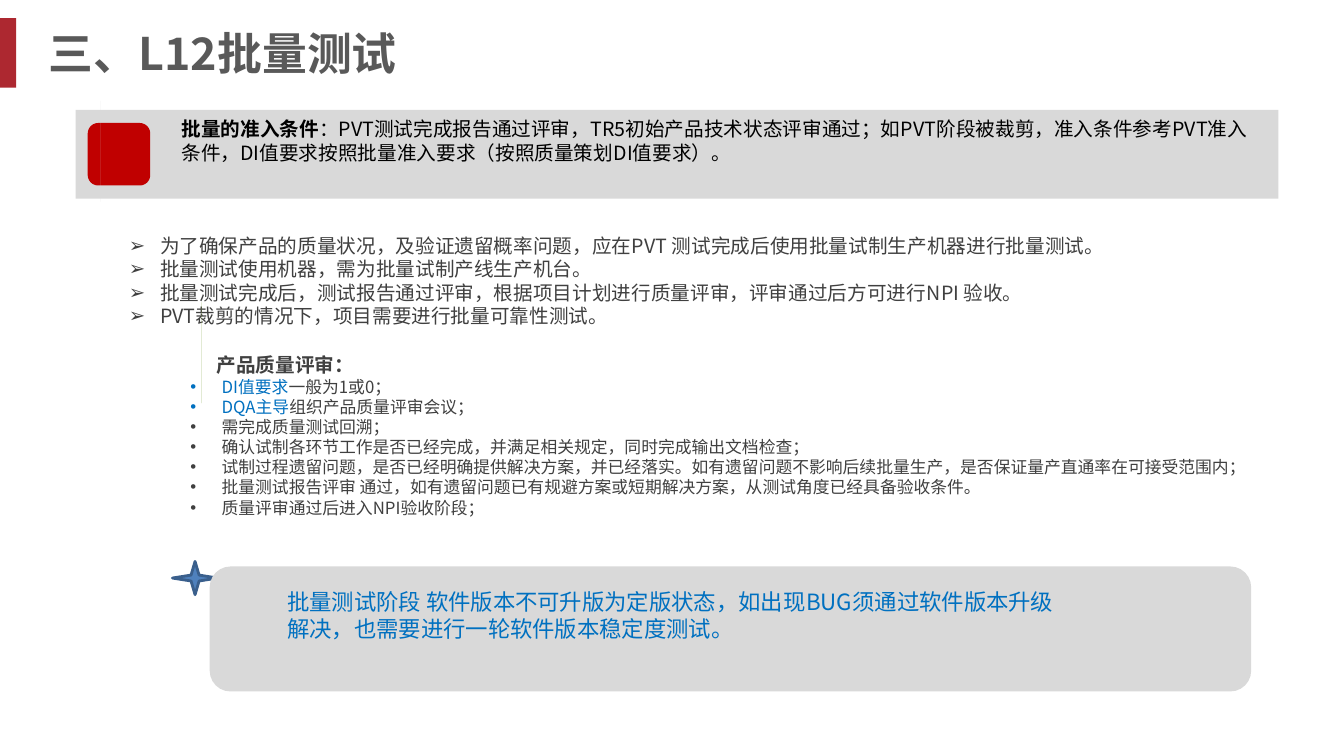
"""Build the L12 batch test slide."""
from lxml import etree
from pptx import Presentation
from pptx import util as u
from pptx.dml.color import RGBColor
from pptx.enum import shapes, text
from pptx.oxml import ns

FONT = "Noto Sans CJK SC"
RED = RGBColor(0xAD, 0x28, 0x30)
ICON_RED = RGBColor(0xC0, 0x00, 0x00)
PANEL = RGBColor(0xD9, 0xD9, 0xD9)
TITLE_GRAY = RGBColor(0x59, 0x59, 0x59)
BODY = RGBColor(0x40, 0x40, 0x40)
BLACK = RGBColor(0x00, 0x00, 0x00)
BLUE = RGBColor(0x00, 0x70, 0xC0)
STAR = RGBColor(0x4F, 0x81, 0xBD)
STAR_LINE = RGBColor(0x3A, 0x5F, 0x8C)
GREEN = RGBColor(0x9B, 0xBB, 0x59)
DARK_GREEN = RGBColor(0x77, 0x93, 0x3C)

TITLE = "三、L12批量测试"
ENTRY = [
    ("批量的准入条件", BLACK, True),
    ("：PVT测试完成报告通过评审，TR5初始产品技术状态评审通过；如PVT阶段被裁剪，准入条件参考PVT准入条件，DI值要求按照批量准入要求（按照质量策划DI值要求）。", BLACK, False),
]
GOALS = [
    "为了确保产品的质量状况，及验证遗留概率问题，应在PVT 测试完成后使用批量试制生产机器进行批量测试。",
    "批量测试使用机器，需为批量试制产线生产机台。",
    "批量测试完成后，测试报告通过评审，根据项目计划进行质量评审，评审通过后方可进行NPI 验收。",
    "PVT裁剪的情况下，项目需要进行批量可靠性测试。",
]
REVIEW_HEAD = "产品质量评审："
REVIEW = [
    ("DI值要求", "一般为1或0；"),
    ("DQA主导", "组织产品质量评审会议；"),
    ("", "需完成质量测试回溯；"),
    ("", "确认试制各环节工作是否已经完成，并满足相关规定，同时完成输出文档检查；"),
    ("", "试制过程遗留问题，是否已经明确提供解决方案，并已经落实。如有遗留问题不影响后续批量生产，是否保证量产直通率在可接受范围内；"),
    ("", "批量测试报告评审 通过，如有遗留问题已有规避方案或短期解决方案，从测试角度已经具备验收条件。"),
    ("", "质量评审通过后进入NPI验收阶段；"),
]
NOTE = "批量测试阶段 软件版本不可升版为定版状态，如出现BUG须通过软件版本升级解决，也需要进行一轮软件版本稳定度测试。"
TICK = [(0.95, 1.53), (0.97, 1.5), (1.0, 1.47), (1.02, 1.46), (1.04, 1.47),
        (1.13, 1.56), (1.31, 1.36), (1.33, 1.35), (1.34, 1.36), (1.38, 1.41),
        (1.39, 1.42), (1.38, 1.44), (1.14, 1.69), (1.12, 1.7), (1.1, 1.69),
        (0.96, 1.55)]
PYRAMID = [
    ([(1.96, 3.41), (2.21, 3.74), (1.96, 3.85)], DARK_GREEN),
    ([(1.96, 3.41), (1.71, 3.74), (1.96, 3.85)], GREEN),
]


def paint(sp, fill):
    sp.shadow.inherit = False
    sp.fill.solid()
    sp.fill.fore_color.rgb = fill
    sp.line.fill.background()
    return sp


def add_shape(kind, box, fill):
    return paint(s.shapes.add_shape(kind, *map(u.Inches, box)), fill)


def add_polygon(points, fill):
    fb = s.shapes.build_freeform(*points[0], scale=u.Inches(1))
    fb.add_line_segments(points[1:])
    return paint(fb.convert_to_shape(), fill)


def add_text(box):
    tf = s.shapes.add_textbox(*map(u.Inches, box)).text_frame
    tf.word_wrap = True
    return tf


def write(p, runs, size, left=0, indent=0, bullet=None):
    pPr = p._p.get_or_add_pPr()
    pPr.set("marL", str(u.Inches(left)))
    pPr.set("indent", str(u.Inches(indent)))
    if bullet:
        clr = etree.SubElement(pPr, ns.qn("a:buClr"))
        etree.SubElement(clr, ns.qn("a:srgbClr"), val=str(runs[0][1]))
        etree.SubElement(pPr, ns.qn("a:buFont"), typeface="Arial")
        etree.SubElement(pPr, ns.qn("a:buChar"), char=bullet)
    p.alignment = text.PP_ALIGN.LEFT
    p.line_spacing = 1.0
    for words, color, bold in runs:
        r = p.add_run()
        r.text = words
        r.font.name, r.font.size, r.font.bold = FONT, u.Pt(size), bold
        r.font.color.rgb = color
        etree.SubElement(r._r.get_or_add_rPr(), ns.qn("a:ea"), typeface=FONT)
    return p


prs = Presentation()
prs.slide_width, prs.slide_height = u.Inches(13.33), u.Inches(7.5)
s = prs.slides.add_slide(prs.slide_layouts[6])
kinds = shapes.MSO_SHAPE

add_shape(kinds.RECTANGLE, (0, 0.18, 0.16, 0.69), RED)
p = write(add_text((0, 0.21, 4.42, 0.91)).paragraphs[0],
          [(TITLE, TITLE_GRAY, True)], 32)
p.alignment = text.PP_ALIGN.CENTER

tf = add_shape(kinds.RECTANGLE, (0.75, 1.09, 11.93, 0.88), PANEL).text_frame
tf.vertical_anchor = text.MSO_ANCHOR.TOP
tf.margin_left = tf.margin_right = u.Inches(0.13)
tf.margin_top = tf.margin_bottom = u.Inches(0.07)
write(tf.paragraphs[0], ENTRY, 14, left=0.92)
add_shape(kinds.ROUNDED_RECTANGLE, (0.87, 1.22, 0.62, 0.62), ICON_RED)
add_polygon(TICK, PANEL)

tf = add_text((1.18, 2.27, 10.27, 1.22))
for i, goal in enumerate(GOALS):
    p = tf.add_paragraph() if i else tf.paragraphs[0]
    write(p, [(goal, BODY, False)], 14, 0.31, -0.31, "➢")

for points, fill in PYRAMID:
    add_polygon(points, fill)
tf = add_text((1.79, 3.45, 11.06, 2.08))
write(tf.paragraphs[0], [(REVIEW_HEAD, BODY, True)], 14, indent=0.26)
for lead, rest in REVIEW:
    runs = [(lead, BLUE, False)] if lead else []
    write(tf.add_paragraph(), runs + [(rest, BODY, False)], 12, 0.31, -0.31, "•")

star = add_shape(kinds.STAR_4_POINT, (1.71, 5.57, 0.45, 0.33), STAR)
star.line.color.rgb = STAR_LINE
star.line.width = u.Pt(2)
add_shape(kinds.ROUNDED_RECTANGLE, (2.08, 5.62, 10.33, 1.24), PANEL)
write(add_text((2.75, 5.79, 7.93, 0.75)).paragraphs[0], [(NOTE, BLUE, False)], 16)

prs.save("out.pptx")
